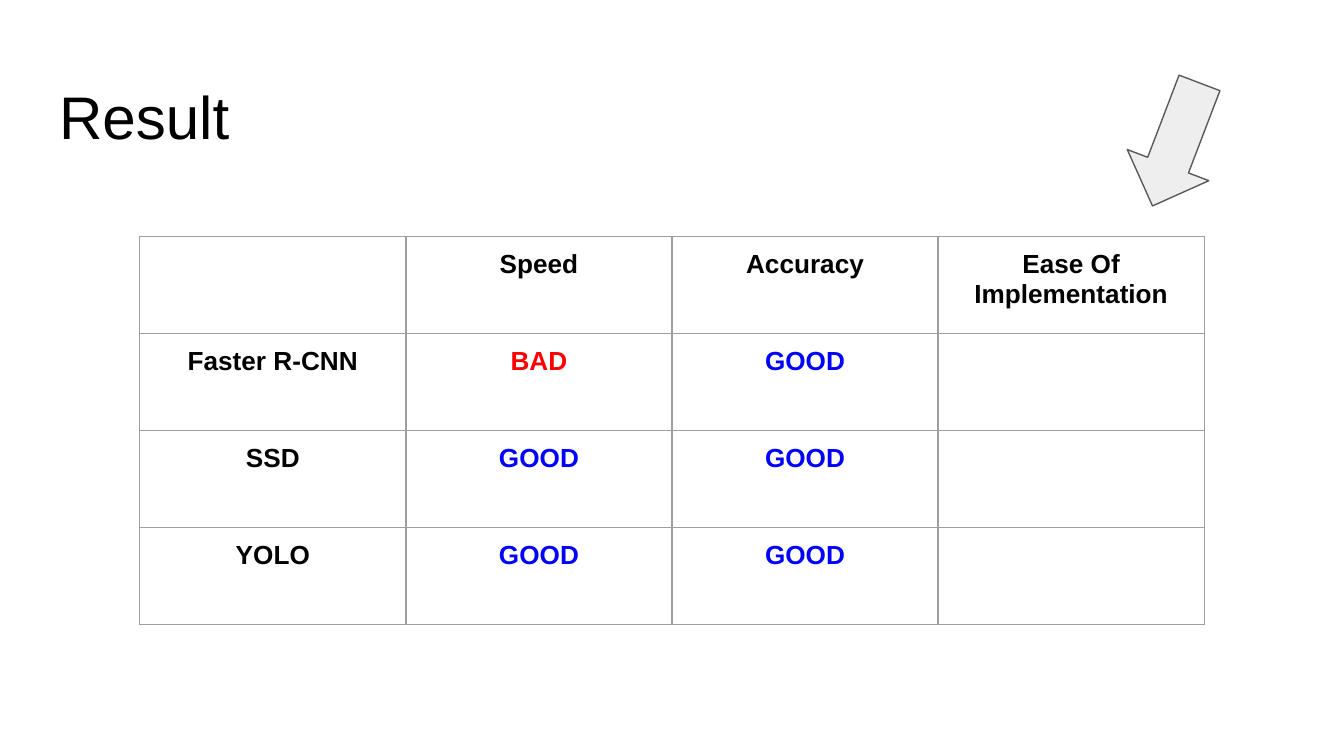
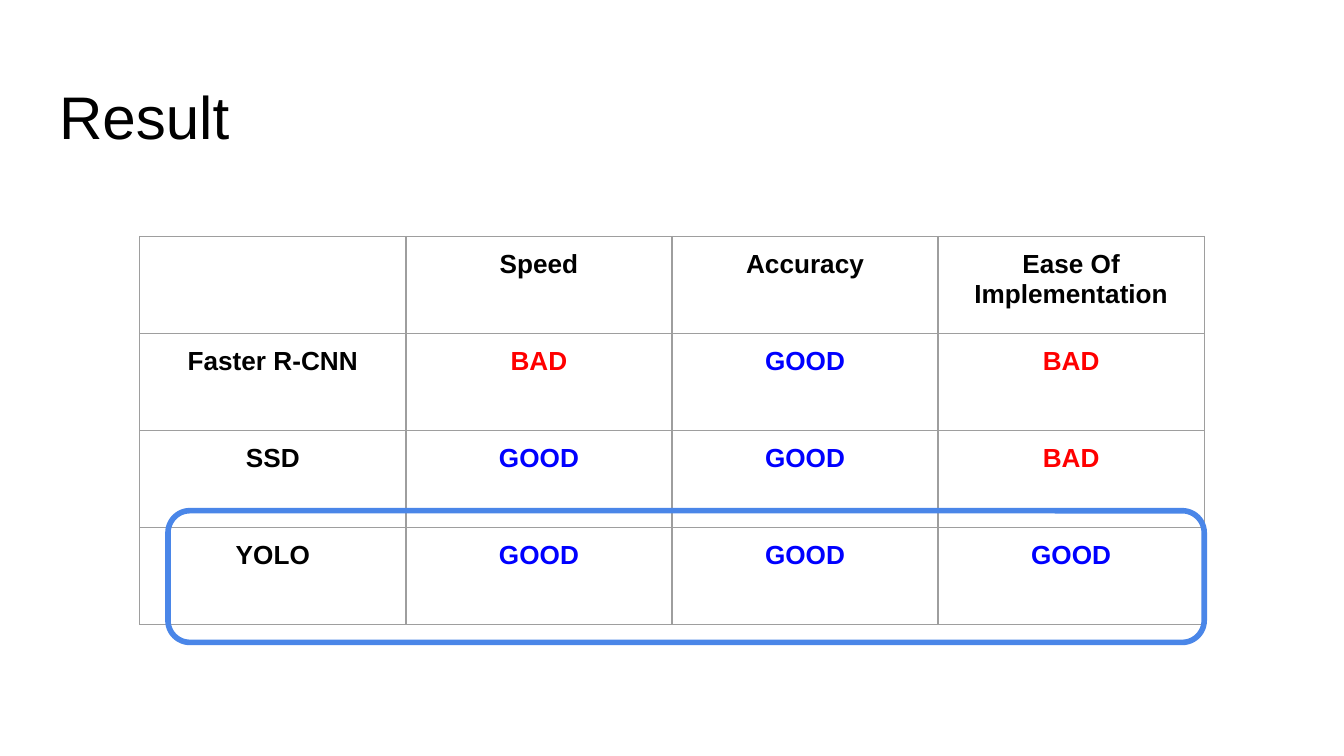
"""Build two result slides that compare three object detectors."""
from lxml import etree
from pptx import Presentation, util as u
from pptx.dml.color import RGBColor
from pptx.enum import shapes, text
from pptx.oxml import ns

BLACK = RGBColor(0x00, 0x00, 0x00)
RED = RGBColor(0xFF, 0x00, 0x00)
BLUE = RGBColor(0x00, 0x00, 0xFF)
BORDER = RGBColor(0x9E, 0x9E, 0x9E)
ARROW_FILL = RGBColor(0xEE, 0xEE, 0xEE)
ARROW_LINE = RGBColor(0x59, 0x59, 0x59)
HIGHLIGHT = RGBColor(0x4A, 0x86, 0xE8)
VERDICT_COLORS = {"BAD": RED, "GOOD": BLUE}

WIDTH = u.Inches(10)
HEIGHT = WIDTH * 9 // 16
INSET = u.Inches(0.1)
LEFT, TOP = u.Inches(1.04), u.Inches(1.76)
COLUMN, ROW = u.Inches(1.98), u.Inches(2.89 / 4)

HEADER = ["", "Speed", "Accuracy", "Ease Of Implementation"]
DETECTORS = [
    ["Faster R-CNN", "BAD", "GOOD", "BAD"],
    ["SSD", "GOOD", "GOOD", "BAD"],
    ["YOLO", "GOOD", "GOOD", "GOOD"],
]


def write(frame, words, size=14, bold=True, color=BLACK, align=text.PP_ALIGN.CENTER):
    para = frame.paragraphs[0]
    para.alignment = align
    span = para.add_run()
    span.text = words
    span.font.name = "Arial"
    span.font.size = u.Pt(size)
    span.font.bold = bold
    span.font.color.rgb = color


def add_borders(cell):
    properties = cell._tc.get_or_add_tcPr()
    for index, side in enumerate(("lnL", "lnR", "lnT", "lnB")):
        line = etree.Element(ns.qn(f"a:{side}"), w=str(u.Pt(0.75)))
        fill = etree.SubElement(line, ns.qn("a:solidFill"))
        etree.SubElement(fill, ns.qn("a:srgbClr"), val=str(BORDER))
        properties.insert(index, line)


deck = Presentation()
deck.slide_width, deck.slide_height = WIDTH, HEIGHT

for ease_shown in (False, True):
    page = deck.slides.add_slide(deck.slide_layouts[5])

    title = page.shapes.title
    title.left, title.top = u.Inches(0.34), u.Inches(0.49)
    title.width, title.height = WIDTH - 2 * title.left, u.Inches(0.63)
    frame = title.text_frame
    frame.auto_size = text.MSO_AUTO_SIZE.NONE
    frame.vertical_anchor = text.MSO_ANCHOR.TOP
    frame.margin_left = frame.margin_right = INSET
    frame.margin_top = frame.margin_bottom = INSET
    write(frame, "Result", size=32.2, bold=False, align=text.PP_ALIGN.LEFT)

    rows = [HEADER] + [row if ease_shown else row[:-1] + [""] for row in DETECTORS]
    table = page.shapes.add_table(
        len(rows), len(HEADER), LEFT, TOP, COLUMN * len(HEADER), ROW * len(rows)
    ).table
    table.first_row = table.horz_banding = False
    for r, row in enumerate(rows):
        for c, words in enumerate(row):
            cell = table.cell(r, c)
            cell.margin_left = cell.margin_right = INSET
            cell.margin_top = cell.margin_bottom = INSET
            cell.fill.background()
            add_borders(cell)
            if words:
                write(cell.text_frame, words, color=VERDICT_COLORS.get(words, BLACK))

    if ease_shown:
        marker = page.shapes.add_shape(
            shapes.MSO_SHAPE.ROUNDED_RECTANGLE,
            u.Inches(1.25), u.Inches(3.8), u.Inches(7.71), u.Inches(0.98),
        )
        marker.fill.background()
        marker.line.color.rgb, marker.line.width = HIGHLIGHT, u.Pt(3)
    else:
        marker = page.shapes.add_shape(
            shapes.MSO_SHAPE.RIGHT_ARROW,
            u.Inches(8.26), u.Inches(0.75), u.Inches(0.98), u.Inches(0.65),
        )
        marker.rotation = 110.9
        marker.fill.solid()
        marker.fill.fore_color.rgb = ARROW_FILL
        marker.line.color.rgb, marker.line.width = ARROW_LINE, u.Pt(0.75)
    marker.shadow.inherit = False

deck.save("out.pptx")
